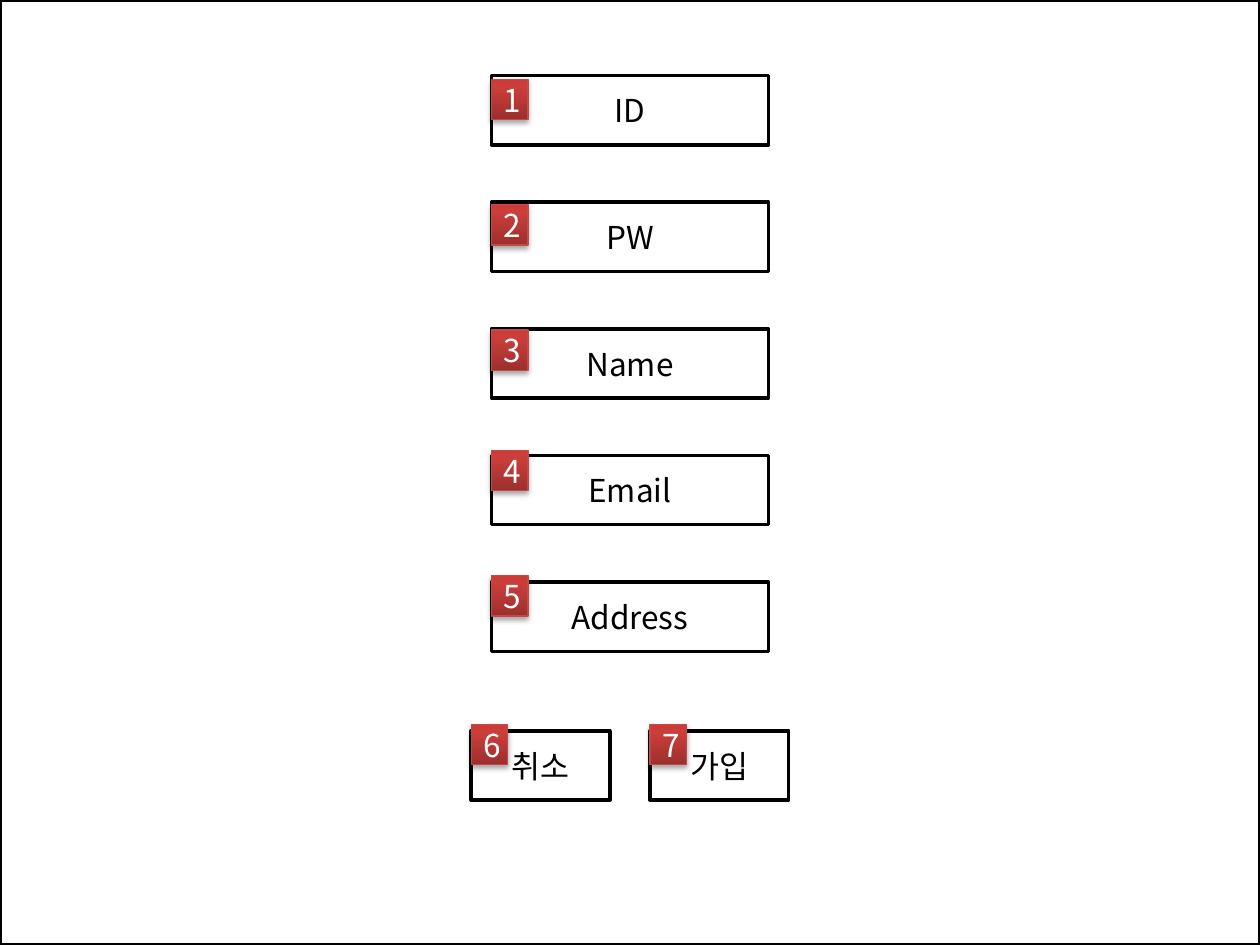
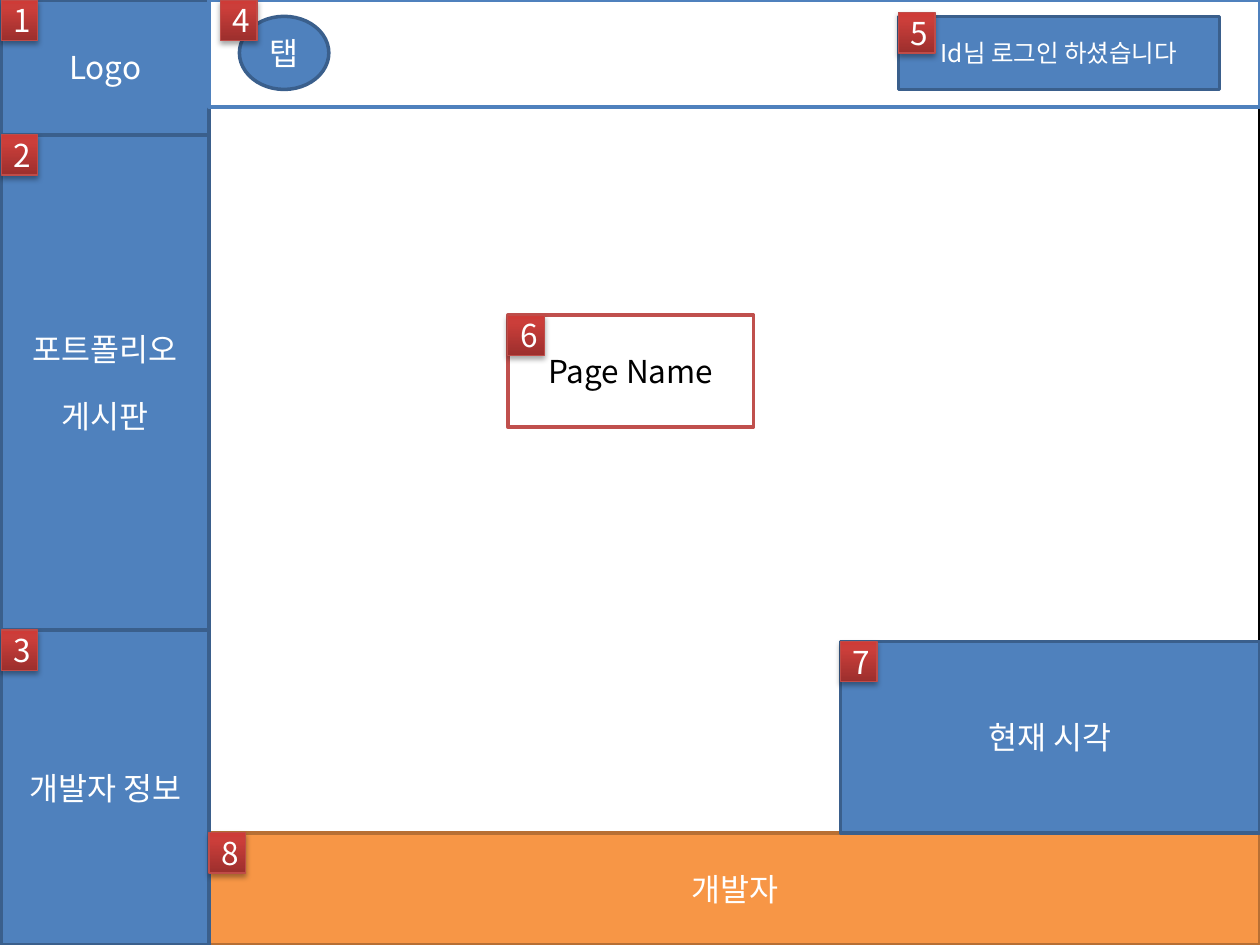
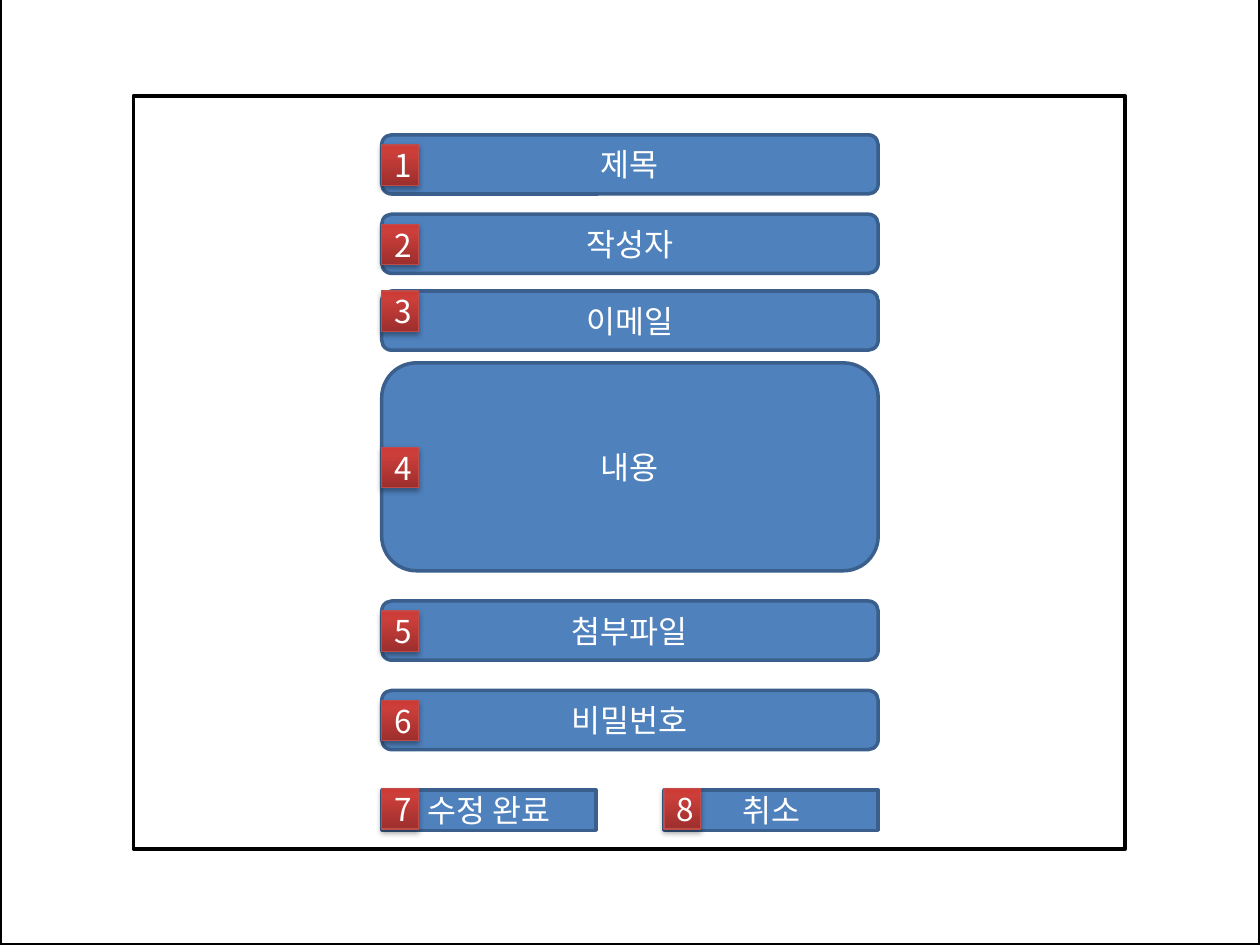
from dataclasses import dataclass

from pptx import Presentation
from pptx.dml.color import RGBColor
from pptx.enum.shapes import MSO_SHAPE as SHAPE
from pptx.enum.text import MSO_ANCHOR as ANCHOR, PP_ALIGN as ALIGN
from pptx.oxml import parse_xml
from pptx.oxml.ns import nsdecls
from pptx.util import Inches, Pt


@dataclass(frozen=True)
class Theme:
    font: str = "Noto Sans CJK KR"
    body: int = 18
    small: int = 14
    para_gap: int = 17
    line: float = 2
    thin: float = 0.75
    white: str = "FFFFFF"
    black: str = "000000"
    blue: str = "4F81BD"
    navy: str = "3A5F8C"
    red: str = "C0504D"
    orange: str = "F79646"
    brown: str = "B76F34"
    badge_line: str = "BF4C48"
    badge_stops: tuple = ((0, "9C2F2D"), (80, "CB3E3A"), (100, "CE3B37"))


T = Theme()

# Grid: 100 columns by 75 rows of square cells
COLS, ROWS = 100, 75
CELL = Inches(0.1)
BADGE_W, BADGE_H = 2.9, 3.2

# Box styles
OUTLINE = dict(fill=T.white, line=T.black, color=T.black)
SOLID = dict(fill=T.blue, line=T.navy, color=T.white)
ROUND = dict(SOLID, kind=SHAPE.ROUNDED_RECTANGLE)

prs = Presentation()
prs.slide_width, prs.slide_height = COLS * CELL, ROWS * CELL
blank = prs.slide_layouts[6]


def box(s, text, x, y, w, h, fill=T.white, line=T.black, color=T.white,
        kind=SHAPE.RECTANGLE, size=T.body, weight=T.line):
    """Draw a shape at grid cells, with one centred paragraph per text line."""
    sp = s.shapes.add_shape(kind, *(round(v * CELL) for v in (x, y, w, h)))
    sp.shadow.inherit = False
    sp.fill.solid()
    sp.fill.fore_color.rgb = RGBColor.from_string(fill)
    sp.line.color.rgb = RGBColor.from_string(line)
    sp.line.width = Pt(weight)
    tf = sp.text_frame
    tf.word_wrap = True
    tf.vertical_anchor = ANCHOR.MIDDLE
    for i, words in enumerate(text.split("\n") if text else []):
        p = tf.add_paragraph() if i else tf.paragraphs[0]
        p.alignment = ALIGN.CENTER
        p.space_before = Pt(T.para_gap if i else 0)
        r = p.add_run()
        r.text = words
        r.font.name, r.font.size = T.font, Pt(size)
        r.font.color.rgb = RGBColor.from_string(color)
        r._r.get_or_add_rPr().append(
            parse_xml(f'<a:ea {nsdecls("a")} typeface="{T.font}"/>'))
    return sp


def badges(s, corners):
    """Number the given corners from 1 with red gradient badges."""
    stops = "".join(f'<a:gs pos="{pos * 1000}"><a:srgbClr val="{rgb}"/></a:gs>'
                    for pos, rgb in T.badge_stops)
    for n, (x, y) in enumerate(corners, 1):
        sp = box(s, str(n), x, y, BADGE_W, BADGE_H,
                 line=T.badge_line, weight=T.thin)
        sp.fill.background()
        pr = sp._element.spPr
        pr.replace(pr.find("{*}noFill"), parse_xml(
            f'<a:gradFill {nsdecls("a")} rotWithShape="1"><a:gsLst>{stops}</a:gsLst>'
            '<a:lin ang="16200000" scaled="0"/></a:gradFill>'))
        pr.find("{*}effectLst").append(parse_xml(
            f'<a:outerShdw {nsdecls("a")} blurRad="{Pt(3.1)}" dist="{Pt(1.8)}" '
            f'dir="5400000" rotWithShape="0"><a:srgbClr val="{T.black}">'
            '<a:alpha val="35000"/></a:srgbClr></a:outerShdw>'))


# Slide 1: sign-up form
s = prs.slides.add_slide(blank)
box(s, "", 0, 0, COLS, ROWS)
field_x, field_w, field_h = 39, 22, 5.5
corners = []
fields = (("ID", 0.3), ("PW", 0.2), ("Name", 0.1), ("Email", -0.4), ("Address", -0.5))
for i, (label, shift) in enumerate(fields):
    y = 6 + 10.05 * i
    box(s, label, field_x, y, field_w, field_h, **OUTLINE)
    corners.append((field_x, y + shift))
for label, x in (("취소", 37.4), ("가입", 51.6)):
    box(s, label, x, 58, field_w / 2, field_h, **OUTLINE)
    corners.append((x, 57.5))
badges(s, corners)

# Slide 2: main page layout
s = prs.slides.add_slide(blank)
side_w, foot_y = 16.6, 66.1
main_w = COLS - side_w
clock_x, clock_y = 66.7, 50.9
box(s, "", 0.1, 0, COLS - 0.1, ROWS)
box(s, "개발자", side_w, foot_y, main_w, ROWS - foot_y, fill=T.orange, line=T.brown)

# Sidebar
side_rows = (0, 10.7, 50, ROWS)
side_labels = ("Logo", "포트폴리오\n게시판", "개발자 정보")
for label, top, bottom in zip(side_labels, side_rows, side_rows[1:]):
    box(s, label, 0.1, top, side_w - 0.1, bottom - top, **SOLID)

# Header and content
box(s, "", side_w, 0, main_w, 8.5, line=T.blue)
box(s, "탭", 19, 1.3, 7.1, 5.8, kind=SHAPE.OVAL, **SOLID)
box(s, "Id님 로그인 하셨습니다", 71.3, 1.3, 25.5, 5.8, size=T.small, **SOLID)
box(s, "현재 시각", clock_x, clock_y, COLS - clock_x, foot_y - clock_y, **SOLID)
box(s, "Page Name", 40.3, 25, 19.5, 8.9, line=T.red, color=T.black)
badges(s, [(0.1, top) for top in side_rows[:3]]
       + [(17.5, 0), (71.3, 1), (40.3, 25), (clock_x, clock_y), (side_w, foot_y)])

# Slide 3: post edit form
s = prs.slides.add_slide(blank)
box(s, "", 0, -0.3, COLS, ROWS + 0.3)
box(s, "", 10.6, 7.6, 78.7, 59.8)
form_x, form_w, row_h, button_w = 30.3, 39.4, 4.7, 17
corners = []
rows = (("제목", 10.7, row_h, 0.8), ("작성자", 17, row_h, 0.8),
        ("이메일", 23.1, row_h, 0), ("내용", 28.8, 16.5, 6.7),
        ("첨부파일", 47.7, row_h, 0.8), ("비밀번호", 54.8, row_h, 0.8))
for label, y, h, shift in rows:
    box(s, label, form_x, y, form_w, h, **ROUND)
    corners.append((form_x, y + shift))
for label, x in (("수정 완료", form_x), ("취소", form_x + form_w - button_w)):
    box(s, label, x, 62.7, button_w, BADGE_H, **SOLID)
    corners.append((x, 62.6))
badges(s, corners)

prs.save("out.pptx")
